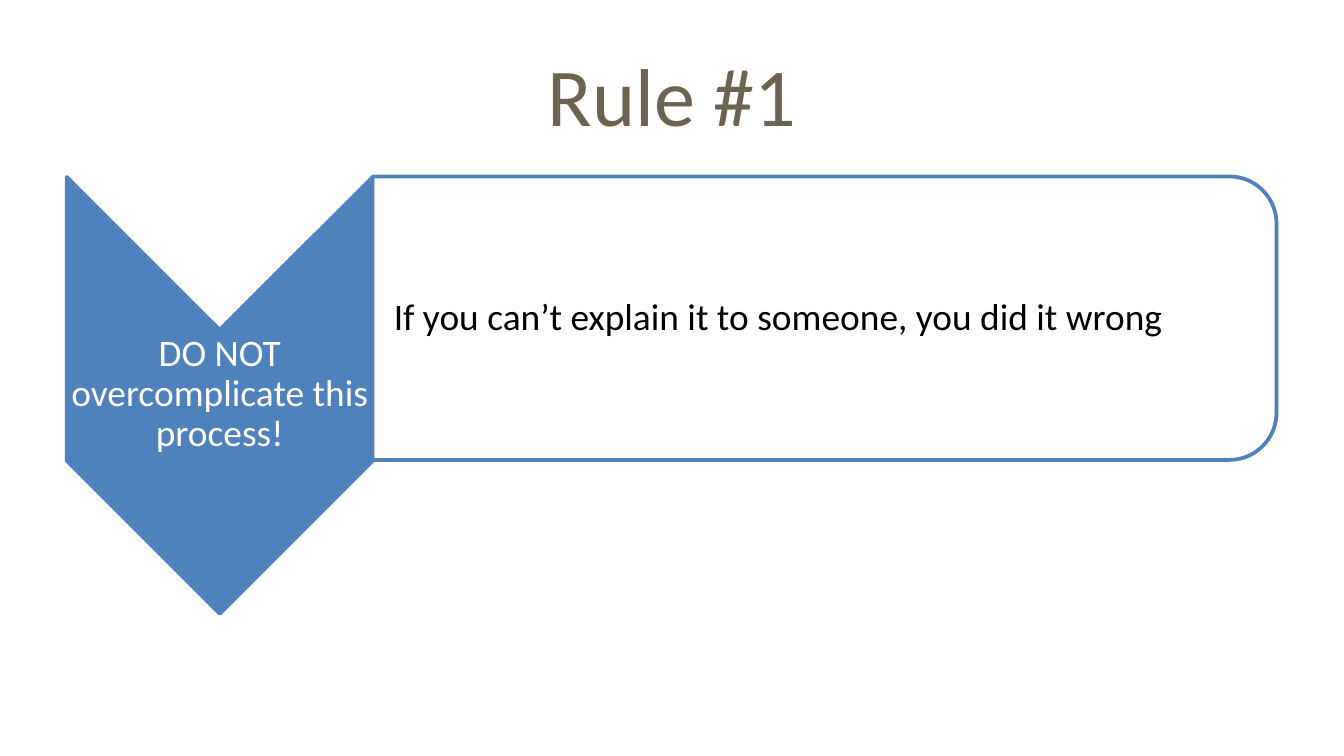
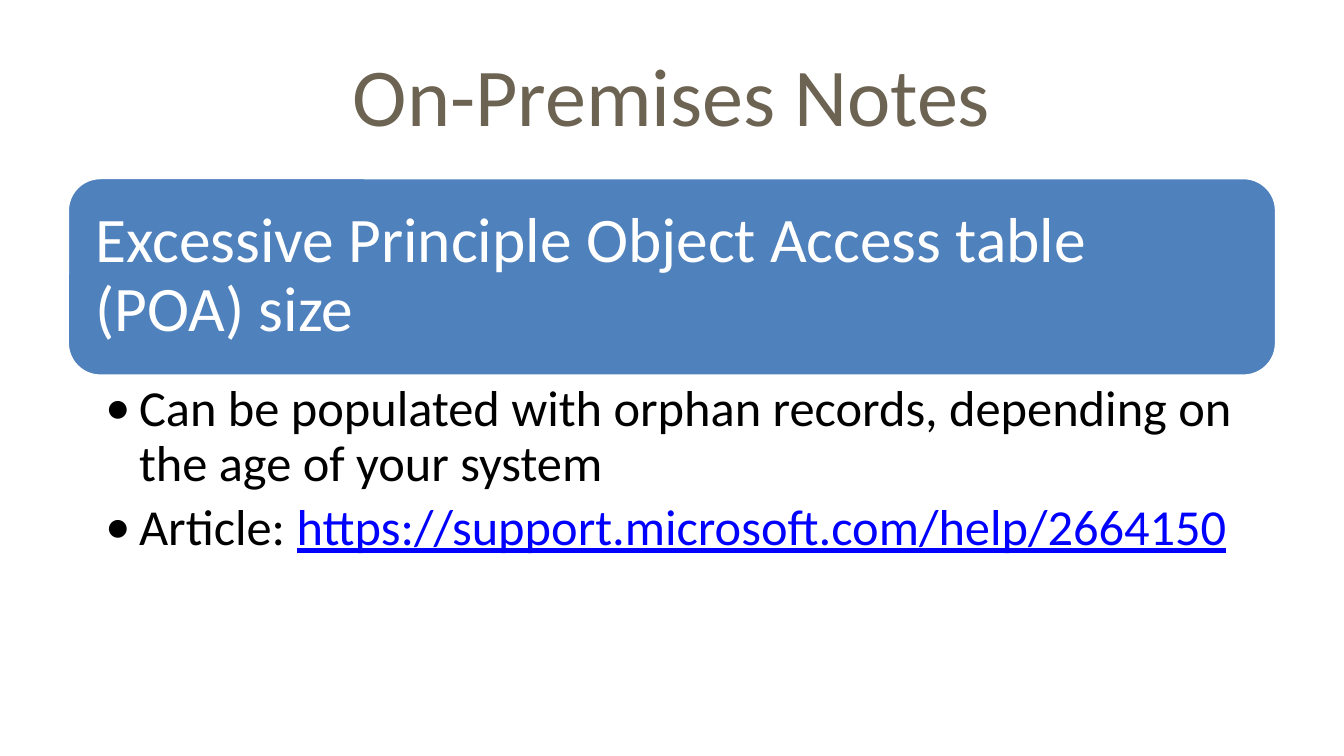
from lxml.etree import SubElement
from pptx import Presentation
from pptx.dml.color import RGBColor
from pptx.enum.shapes import MSO_SHAPE as SHAPE
from pptx.enum.text import MSO_ANCHOR as ANCHOR, PP_ALIGN as ALIGN
from pptx.oxml.ns import qn
from pptx.util import Pt

PX = 4572
BLUE = RGBColor(0x4F, 0x81, 0xBD)
TAUPE = RGBColor(0x6C, 0x63, 0x52)
WHITE = RGBColor(0xFF, 0xFF, 0xFF)
BLACK = RGBColor(0, 0, 0)
LINK = RGBColor(0, 0, 0xFF)


def set_all(obj, values):
    for name, value in values.items():
        setattr(obj, name, value)


class Deck:
    font = "Calibri"
    title_box = (100, 45, 1800, 188)
    indent = 50

    def __init__(self, width, height):
        self.prs = Presentation()
        set_all(self.prs, {"slide_width": width * PX, "slide_height": height * PX})

    def emu(self, box):
        return [v * PX for v in box]

    def run(self, p, text, size, color, underline=None):
        r = p.add_run()
        r.text = text
        set_all(r.font, {"name": self.font, "size": Pt(size), "underline": underline})
        r.font.color.rgb = color

    def slide(self, title):
        self.s = self.prs.slides.add_slide(self.prs.slide_layouts[5])
        sp = self.s.shapes.title
        set_all(sp, dict(zip(("left", "top", "width", "height"), self.emu(self.title_box))))
        tf = sp.text_frame
        set_all(tf, {"vertical_anchor": ANCHOR.MIDDLE, "word_wrap": True})
        p = tf.paragraphs[0]
        p.alignment = ALIGN.CENTER
        self.run(p, title, 44, TAUPE)

    def shape(self, kind, box, fill, line, rotation=0, opacity=None):
        sp = self.s.shapes.add_shape(kind, *self.emu(box))
        sp.rotation = rotation
        sp.shadow.inherit = False
        sp.fill.solid()
        sp.fill.fore_color.rgb = fill
        sp.line.color.rgb = line
        sp.line.width = Pt(2)
        if opacity:
            color = sp._element.spPr.find(qn("a:solidFill"))[0]
            SubElement(color, qn("a:alpha"), val=str(opacity * 1000))

    def text(self, box, paragraphs, size, color, insets, after,
             anchor=ANCHOR.MIDDLE, align=ALIGN.LEFT, hanging=False, bullet=None):
        tf = self.s.shapes.add_textbox(*self.emu(box)).text_frame
        set_all(tf, {"word_wrap": True, "vertical_anchor": anchor})
        sides = ("margin_left", "margin_top", "margin_right", "margin_bottom")
        set_all(tf, dict(zip(sides, self.emu(insets))))
        for i, runs in enumerate(paragraphs):
            p = tf.add_paragraph() if i else tf.paragraphs[0]
            pPr = p._p.get_or_add_pPr()
            if hanging:
                p.level = 1
                pPr.set("marL", str(self.indent * PX))
                pPr.set("indent", str(-self.indent * PX))
            if bullet:
                SubElement(pPr, qn("a:buFont"), typeface=self.font)
                SubElement(pPr, qn("a:buChar"), char=bullet)
            set_all(p, {"alignment": align, "line_spacing": 0.9,
                        "space_after": Pt(size * after)})
            for text, *style in runs:
                self.run(p, text, size, *(style or [color]))


def rule_slide(deck):
    deck.slide("Rule #1")
    deck.shape(SHAPE.CHEVRON, (2, 361, 650, 455), BLUE, BLUE, rotation=90)
    deck.text((100, 490, 454, 194), [[("DO NOT overcomplicate this process!",)]],
              20, WHITE, (2, 2, 2, 2), 0.35, align=ALIGN.CENTER)
    deck.shape(SHAPE.ROUND_2_SAME_RECTANGLE, (1016, -199, 422, 1345), WHITE, BLUE,
               rotation=90, opacity=90)
    deck.text((554, 283, 1324, 382),
              [[("If you can’t explain it to someone, you did it wrong",)]],
              20, BLACK, (32, 2, 2, 2), 0.15, hanging=True)


def notes_slide(deck):
    deck.slide("On-Premises Notes")
    deck.shape(SHAPE.ROUNDED_RECTANGLE, (100, 264, 1800, 296), BLUE, WHITE)
    deck.text((114, 278, 1772, 267),
              [[("Excessive Principle Object Access table (POA) size",)]],
              34, WHITE, (28, 28, 28, 28), 0.35)
    deck.text((100, 560, 1800, 284),
              [[("Can be populated with orphan records, depending on the age of your system",)],
               [("Article: ",), ("https://support.microsoft.com/help/2664150", LINK, True)]],
              27, BLACK, (57, 10, 52, 10), 0.2, anchor=ANCHOR.TOP, hanging=True, bullet="•")


def main():
    deck = Deck(2000, 1125)
    rule_slide(deck)
    notes_slide(deck)
    deck.prs.save("out.pptx")


if __name__ == "__main__":
    main()
